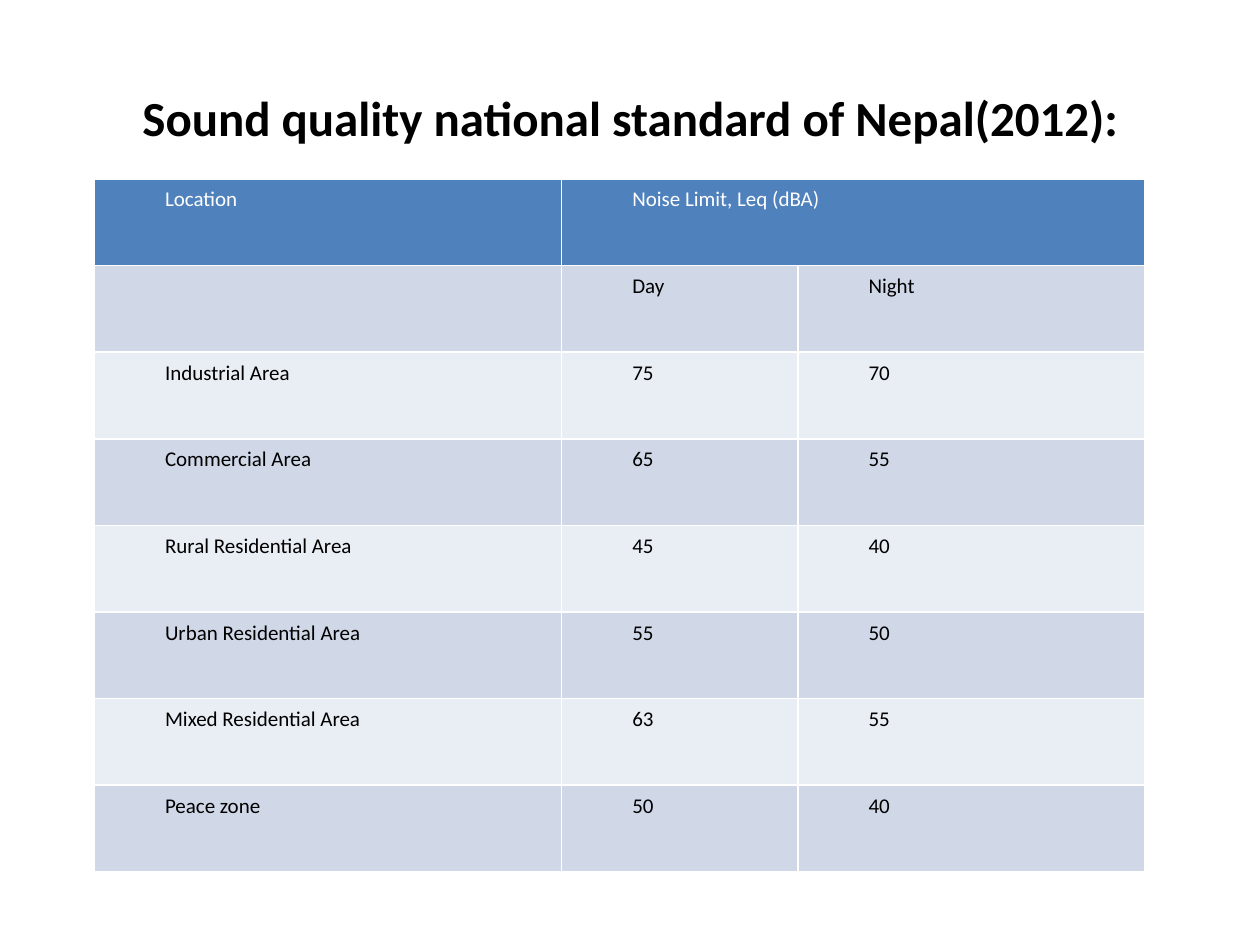
from pptx import Presentation
from pptx.dml.color import RGBColor
from pptx.enum import text
from pptx.util import Pt


def paint(target, color):
    target.rgb = RGBColor.from_string(color)


def style_font(font, size, color, bold):
    font.name = "Calibri"
    font.size = Pt(size)
    font.bold = bold
    paint(font.color, color)


rows = [
    ("Location", "Noise Limit, Leq (dBA)", ""),
    ("", "Day", "Night"),
    ("Industrial Area", "75", "70"),
    ("Commercial Area", "65", "55"),
    ("Rural Residential Area", "45", "40"),
    ("Urban Residential Area", "55", "50"),
    ("Mixed Residential Area", "63", "55"),
    ("Peace zone", "50", "40"),
]
widths = [267, 135, 198]
row_height = 49.5
bands = ["E9EDF4", "D0D8E8"]

deck = Presentation()
deck.slide_width, deck.slide_height = Pt(720), Pt(540)
page = deck.slides.add_slide(deck.slide_layouts[5])

title = page.shapes.title
title.left, title.top, title.width, title.height = Pt(36), Pt(21.6), Pt(648), Pt(90)
title.text_frame.text = "Sound quality national standard of Nepal(2012):"
title.text_frame.vertical_anchor = text.MSO_ANCHOR.MIDDLE
heading = title.text_frame.paragraphs[0]
heading.alignment = text.PP_ALIGN.CENTER
style_font(heading.font, 28, "000000", True)

table = page.shapes.add_table(
    len(rows), len(widths), Pt(54), Pt(102.24), Pt(sum(widths)), Pt(row_height * len(rows))
).table
for column, width in zip(table.columns, widths):
    column.width = Pt(width)

for row_index, values in enumerate(rows):
    table.rows[row_index].height = Pt(row_height)
    header = row_index == 0
    for column_index, value in enumerate(values):
        cell = table.cell(row_index, column_index)
        cell.margin_left = cell.margin_right = Pt(4.32)
        cell.margin_top = cell.margin_bottom = Pt(3.6)
        cell.fill.solid()
        paint(cell.fill.fore_color, "4F81BD" if header else bands[row_index % 2])
        cell.text = value
        para = cell.text_frame.paragraphs[0]
        para.line_spacing = 1.07
        para.space_after = Pt(8)
        properties = para._p.get_or_add_pPr()
        properties.set("marL", str(Pt(36)))
        properties.set("indent", "0")
        style_font(para.font, 12, "FFFFFF" if header else "000000", False)

table.cell(0, 1).merge(table.cell(0, 2))

deck.save("out.pptx")
